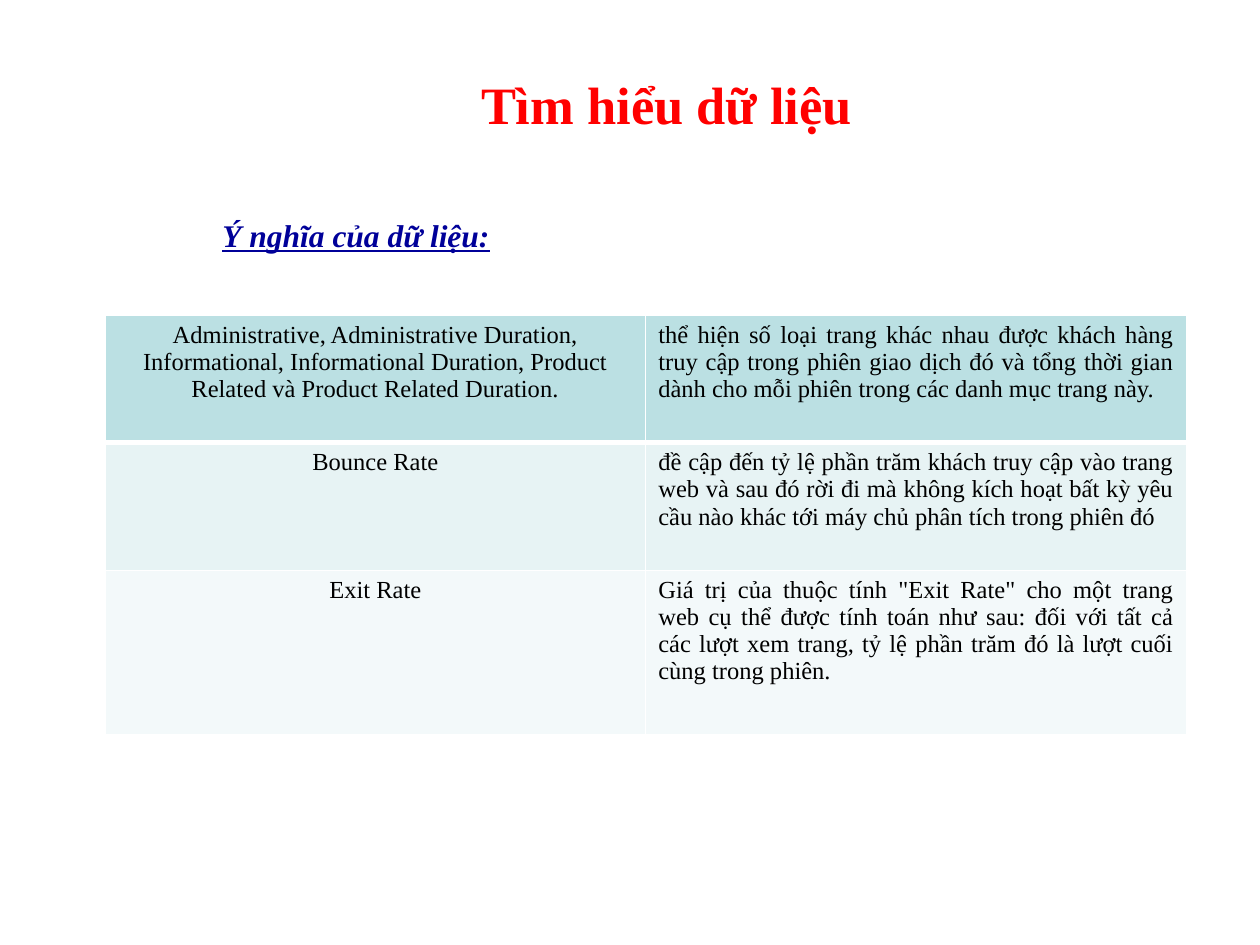
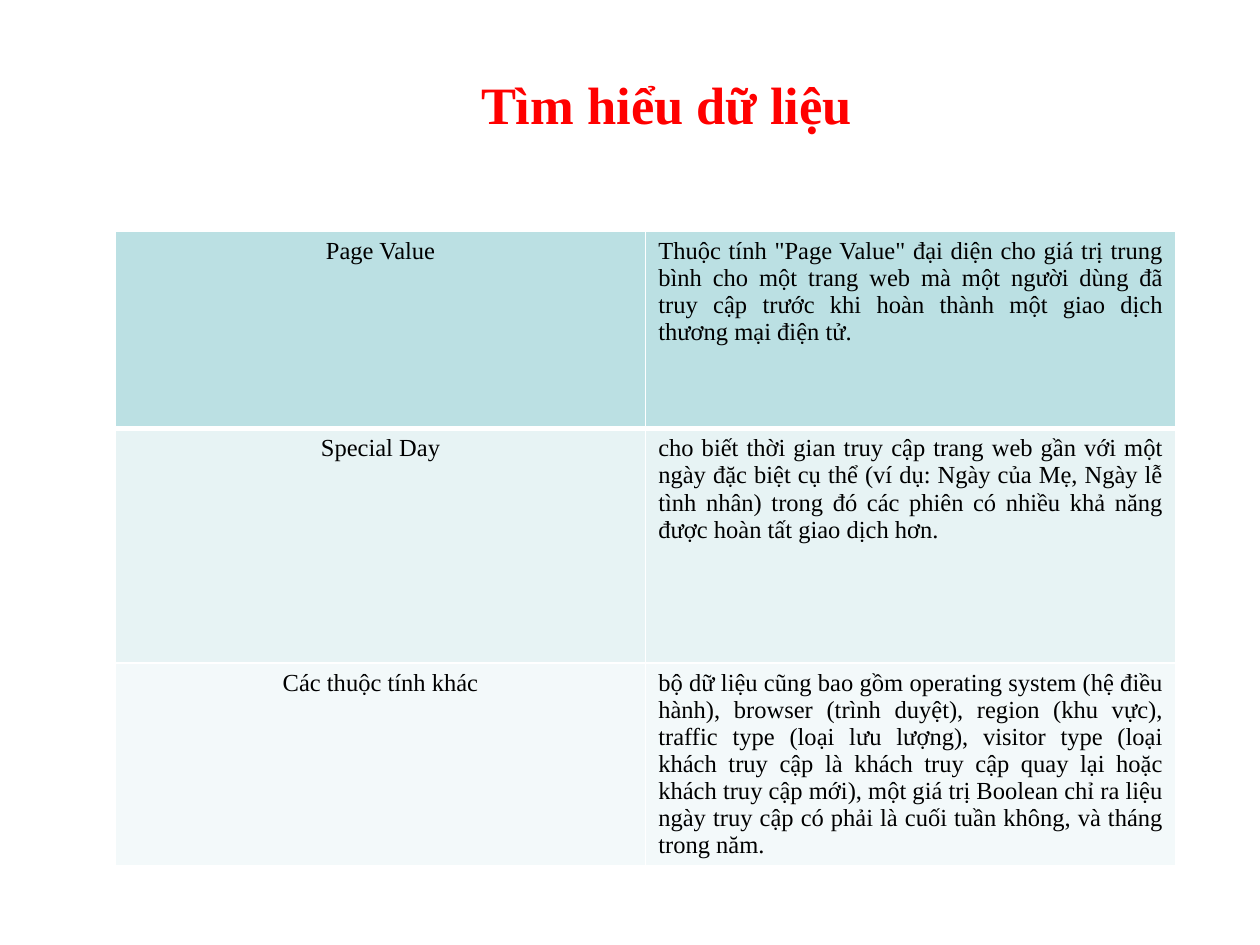
import pptx
import pptx.dml.color
import pptx.enum.text
import pptx.oxml
import pptx.oxml.ns
import pptx.util

Pt = pptx.util.Pt
ALIGN = pptx.enum.text.PP_ALIGN
ANCHOR = pptx.enum.text.MSO_ANCHOR
AUTO = pptx.enum.text.MSO_AUTO_SIZE

FONT = "Times New Roman"
TITLE = "Tìm hiểu dữ liệu"
ROW_FILLS = ["BBE0E3", "E7F3F4", "F3F9FA"]

SLIDES = [
    {
        "heading": "Ý nghĩa của dữ liệu:",
        "left": 60, "top": 180, "col_width": 309, "heights": [73, 73, 94],
        "rows": [
            ("Administrative, Administrative Duration, Informational, Informational Duration, "
             "Product Related và Product Related Duration.",
             "thể hiện số loại trang khác nhau được khách hàng truy cập trong phiên giao dịch đó "
             "và tổng thời gian dành cho mỗi phiên trong các danh mục trang này."),
            ("Bounce Rate",
             "đề cập đến tỷ lệ phần trăm khách truy cập vào trang web và sau đó rời đi mà không "
             "kích hoạt bất kỳ yêu cầu nào khác tới máy chủ phân tích trong phiên đó"),
            ("Exit Rate",
             'Giá trị của thuộc tính "Exit Rate" cho một trang web cụ thể được tính toán như sau: '
             "đối với tất cả các lượt xem trang, tỷ lệ phần trăm đó là lượt cuối cùng trong phiên."),
        ],
    },
    {
        "heading": None,
        "left": 66, "top": 132, "col_width": 303, "heights": [113, 134, 115],
        "rows": [
            ("Page Value",
             'Thuộc tính "Page Value" đại diện cho giá trị trung bình cho một trang web mà một '
             "người dùng đã truy cập trước khi hoàn thành một giao dịch thương mại điện tử."),
            ("Special Day",
             "cho biết thời gian truy cập trang web gần với một ngày đặc biệt cụ thể (ví dụ: Ngày "
             "của Mẹ, Ngày lễ tình nhân) trong đó các phiên có nhiều khả năng được hoàn tất giao "
             "dịch hơn."),
            ("Các thuộc tính khác",
             "bộ dữ liệu cũng bao gồm operating system (hệ điều hành), browser (trình duyệt), "
             "region (khu vực), traffic type (loại lưu lượng), visitor type (loại khách truy cập "
             "là khách truy cập quay lại hoặc khách truy cập mới), một giá trị Boolean chỉ ra liệu "
             "ngày truy cập có phải là cuối tuần không, và tháng trong năm."),
        ],
    },
]


def rgb(value):
    return pptx.dml.color.RGBColor.from_string(value)


def write(tf, text, size=14, color="000000", align=ALIGN.LEFT, bold=False, italic=False, underline=False):
    p = tf.paragraphs[0]
    p.alignment = align
    r = p.add_run()
    r.text = text
    r.font.name = FONT
    r.font.size = Pt(size)
    r.font.color.rgb = rgb(color)
    r.font.bold = bold
    r.font.italic = italic
    r.font.underline = underline


prs = pptx.Presentation()
prs.slide_width = Pt(720)
prs.slide_height = Pt(540)

for page in SLIDES:
    s = prs.slides.add_slide(prs.slide_layouts[5])

    title = s.shapes.title
    title.left, title.top, title.width, title.height = Pt(138), Pt(22), Pt(486), Pt(74)
    tf = title.text_frame
    tf.auto_size = AUTO.NONE
    tf.vertical_anchor = ANCHOR.MIDDLE
    write(tf, TITLE, size=30, color="FF0000", align=ALIGN.CENTER, bold=True)

    if page["heading"]:
        sp = s.shapes.add_textbox(Pt(120), Pt(120), Pt(186), Pt(29))
        tf = sp.text_frame
        tf.word_wrap = True
        tf.auto_size = AUTO.SHAPE_TO_FIT_TEXT
        write(tf, page["heading"], size=18, color="000099", bold=True, italic=True, underline=True)

    heights = page["heights"]
    table = s.shapes.add_table(len(heights), 2, Pt(page["left"]), Pt(page["top"]),
                               Pt(2 * page["col_width"]), Pt(sum(heights))).table
    for column in table.columns:
        column.width = Pt(page["col_width"])

    for i, texts in enumerate(page["rows"]):
        table.rows[i].height = Pt(heights[i])
        borders = {"lnL": 1, "lnR": 1, "lnT": 3 if i == 1 else 1, "lnB": 3 if i == 0 else 1}
        for j, align in enumerate([ALIGN.CENTER, ALIGN.JUSTIFY]):
            cell = table.cell(i, j)
            tcPr = cell._tc.get_or_add_tcPr()
            for tag, width in borders.items():
                tcPr.append(pptx.oxml.parse_xml(
                    f'<a:{tag} {pptx.oxml.ns.nsdecls("a")} w="{Pt(width)}">'
                    f'<a:solidFill><a:srgbClr val="FFFFFF"/></a:solidFill></a:{tag}>'))
            cell.fill.solid()
            cell.fill.fore_color.rgb = rgb(ROW_FILLS[i])
            write(cell.text_frame, texts[j], align=align)

prs.save("out.pptx")
